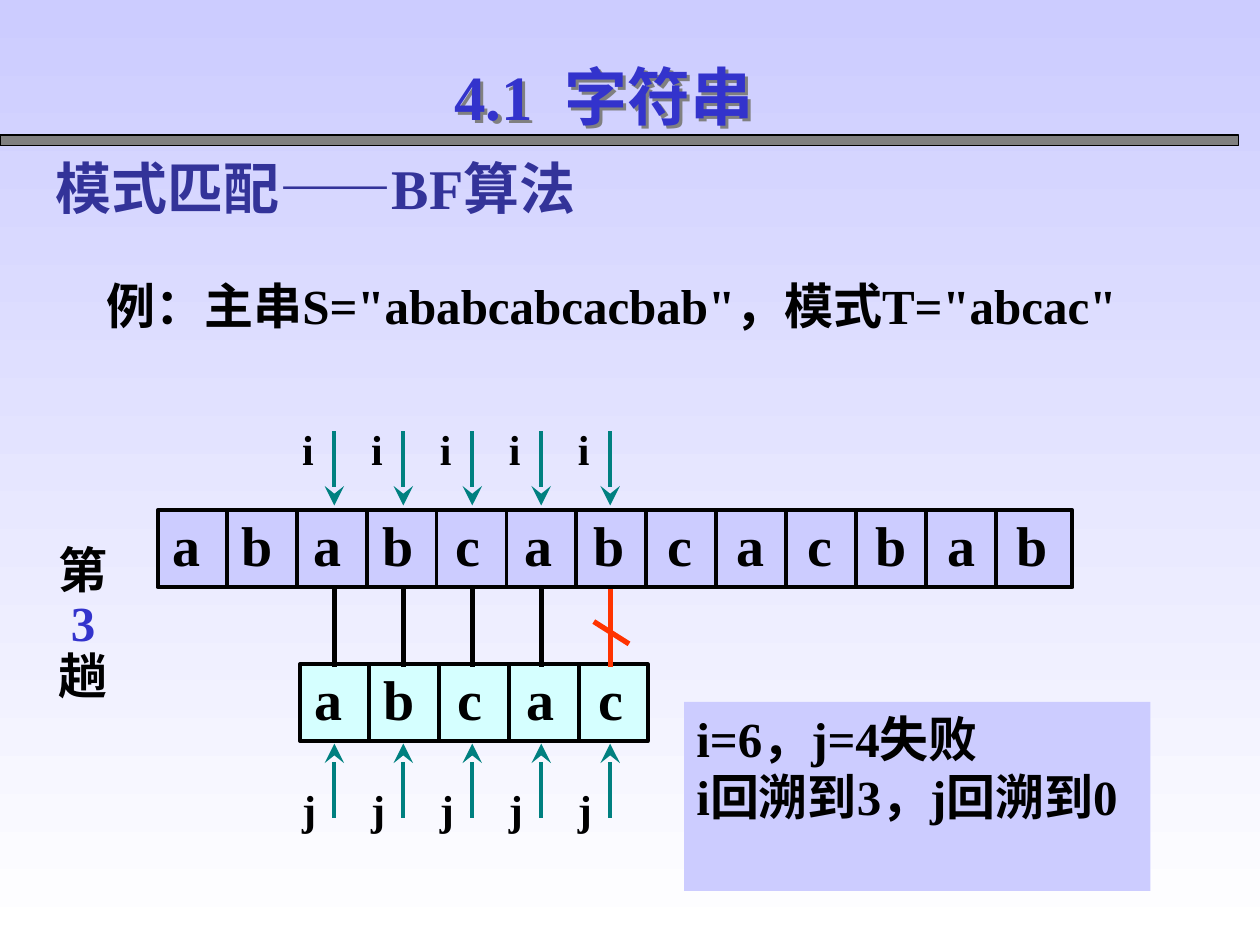
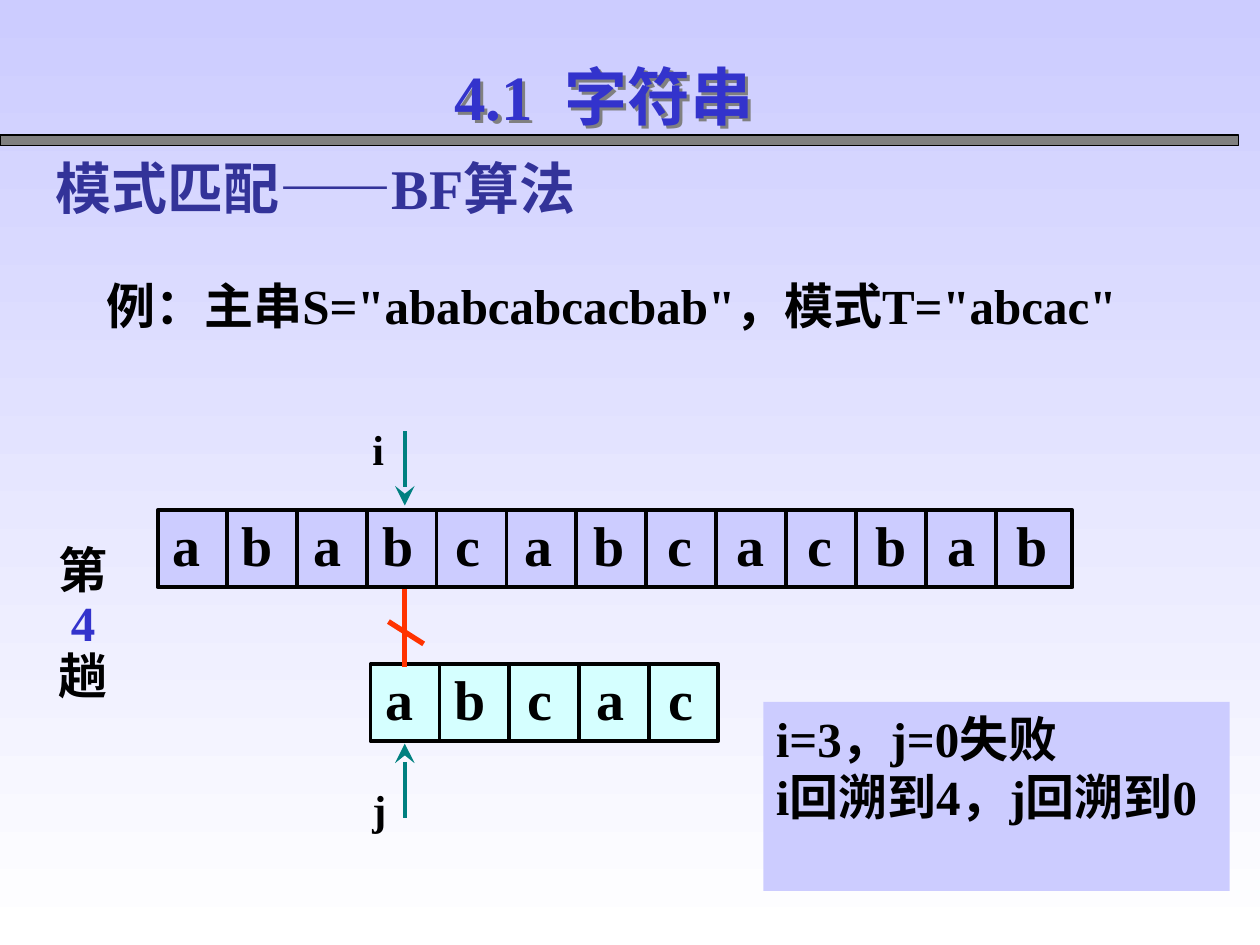
from lxml.etree import SubElement
from pptx import Presentation
from pptx.dml.color import RGBColor
from pptx.enum.shapes import MSO_CONNECTOR as LINK, MSO_SHAPE as SHAPE
from pptx.enum.text import MSO_ANCHOR as ANCHOR, PP_ALIGN as ALIGN
from pptx.oxml import parse_xml
from pptx.oxml.ns import nsdecls, qn
from pptx.util import Cm, Pt

BLACK = RGBColor(0x00, 0x00, 0x00)
WHITE = RGBColor(0xFF, 0xFF, 0xFF)
GRAY = RGBColor(0x80, 0x80, 0x80)
LILAC = RGBColor(0xCC, 0xCC, 0xFF)
MINT = RGBColor(0xD5, 0xFF, 0xFF)
BLUE = RGBColor(0x33, 0x33, 0xCC)
NAVY = RGBColor(0x33, 0x33, 0x99)
TEAL = RGBColor(0x00, 0x80, 0x80)
RED = RGBColor(0xFF, 0x33, 0x00)
FONT = "Times New Roman"

MAIN = "ababcabcacbab"
MODEL = "abcac"
STEP, TALL = 1.41, 1.55   # cell size
PITCH = 1.42              # from letter to letter
GAP = 1.39                # from arrow to arrow
TOP, LOW = 10.29, 13.39   # main row, model row

# round number, matched cells, i, j, next i, left of model, left of note
ROUNDS = [
    (3, 4, 6, 4, 3, 6.05, 13.79),
    (4, 0, 3, 0, 4, 7.47, 15.39),
]


def write(shape, lines, size, align=ALIGN.LEFT):
    """Fill a shape with one paragraph for each (text, colour) pair."""
    frame = shape.text_frame
    frame.word_wrap = True
    for n, (text, color) in enumerate(lines):
        para = frame.paragraphs[0] if n == 0 else frame.add_paragraph()
        para.alignment = align
        run = para.add_run()
        run.text = text
        run.font.name, run.font.size, run.font.bold = FONT, Pt(size), True
        run.font.color.rgb = color
    return frame


def draw(slide, start, end, color, width, arrow=False):
    """Draw a straight line between two points given in centimetres."""
    line = slide.shapes.add_connector(LINK.STRAIGHT, *map(Cm, start + end))
    line.line.color.rgb, line.line.width = color, Pt(width)
    if arrow:
        SubElement(line.line._get_or_add_ln(), qn("a:tailEnd"),
                   type="stealth", w="lg", len="lg")
    SubElement(line._element.spPr, qn("a:effectLst"))


prs = Presentation()
prs.slide_width, prs.slide_height = Cm(25.4), Cm(19.05)

back = prs.slide_master.background.fill
back.gradient()
back.gradient_angle = 270
for stop, color, place in zip(back.gradient_stops, (LILAC, WHITE), (0, 1)):
    stop.color.rgb = color
    stop.position = place

for number, hits, i, j, next_i, model_left, note_left in ROUNDS:
    slide = prs.slides.add_slide(prs.slide_layouts[6])
    shapes = slide.shapes

    band = shapes.add_shape(SHAPE.RECTANGLE, 0, Cm(2.72), Cm(24.97), Cm(0.21))
    band.shadow.inherit = False
    band.fill.solid()
    band.fill.fore_color.rgb = GRAY
    band.line.color.rgb, band.line.width = BLACK, Pt(0.75)

    sample = shapes.add_textbox(Cm(1.9), Cm(5.42), Cm(22.66), Cm(1.45))
    write(sample, [(f'例：主串S="{MAIN}"，模式T="{MODEL}"', BLACK)], 28, ALIGN.JUSTIFY)

    for word, left, top, color in ((MAIN, 3.18, TOP, LILAC),
                                   (MODEL, model_left, LOW, MINT)):
        width = 18.44 if word == MAIN else 7.01
        row = shapes.add_shape(SHAPE.RECTANGLE, Cm(left), Cm(top), Cm(width), Cm(TALL))
        row.shadow.inherit = False
        row.fill.solid()
        row.fill.fore_color.rgb = color
        row.line.color.rgb, row.line.width = BLACK, Pt(2.25)
        tabs = SubElement(row.text_frame.paragraphs[0]._p.get_or_add_pPr(), qn("a:tabLst"))
        for n in range(1, len(word)):
            SubElement(tabs, qn("a:tab"), pos=str(Cm(0.28 + n * PITCH)), algn="ctr")
        frame = write(row, [("\t".join(word), BLACK)], 32)
        frame.vertical_anchor = ANCHOR.MIDDLE
        frame.margin_left, frame.margin_right = Cm(0.3), Cm(0.05)
        frame.margin_top, frame.margin_bottom = 0, Cm(0.2)
        for n in range(1, len(word)):
            x = left + n * STEP - 0.02
            draw(slide, (x, top), (x, top + TALL), BLACK, 2.25)

    note = shapes.add_shape(SHAPE.RECTANGLE, Cm(note_left), Cm(14.15), Cm(9.4), Cm(3.81))
    note.shadow.inherit = False
    note.fill.solid()
    note.fill.fore_color.rgb = LILAC
    note.line.fill.background()
    frame = write(note, [(f"i={i}，j={j}失败", BLACK),
                         (f"i回溯到{next_i}，j回溯到0", BLACK)], 28)
    frame.vertical_anchor = ANCHOR.TOP

    topic = shapes.add_textbox(Cm(0.87), Cm(2.98), Cm(20.75), Cm(1.63))
    write(topic, [("模式匹配——BF算法", NAVY)], 32)

    label = shapes.add_textbox(Cm(0.94), Cm(10.88), Cm(1.47), Cm(3.45))
    frame = write(label, [("第", BLACK), (str(number), BLUE), ("趟", BLACK)],
                  28, ALIGN.CENTER)
    frame.word_wrap = False
    for para in frame.paragraphs:
        para.line_spacing = 0.9

    for n in range(hits + 1):
        mid = model_left + 0.69 + n * GAP
        miss = n == hits
        draw(slide, (mid, 11.88), (mid, 13.44), RED if miss else BLACK, 3)
        if miss:
            draw(slide, (mid - 0.33, 12.53), (mid + 0.38, 12.98), RED, 3)
        draw(slide, (mid, 8.69), (mid, 10.19), TEAL, 2.25, True)
        draw(slide, (mid, 16.48), (mid, 14.99), TEAL, 2.25, True)
        for name, top in (("i", 8.42), ("j", 15.67)):
            mark = shapes.add_textbox(Cm(mid - 0.65), Cm(top), Cm(0.64), Cm(1.27))
            frame = write(mark, [(name, BLACK)], 24)
            frame.margin_left = frame.margin_right = 0

    title = shapes.add_textbox(Cm(7.46), Cm(1.03), Cm(9.42), Cm(1.78))
    write(title, [("4.1  字符串", BLUE)], 36, ALIGN.CENTER)
    title._element.spPr.append(parse_xml(
        f'<a:effectLst {nsdecls("a")}><a:outerShdw dist="35921" dir="2700000">'
        '<a:srgbClr val="808080"/></a:outerShdw></a:effectLst>'))

prs.save("out.pptx")
